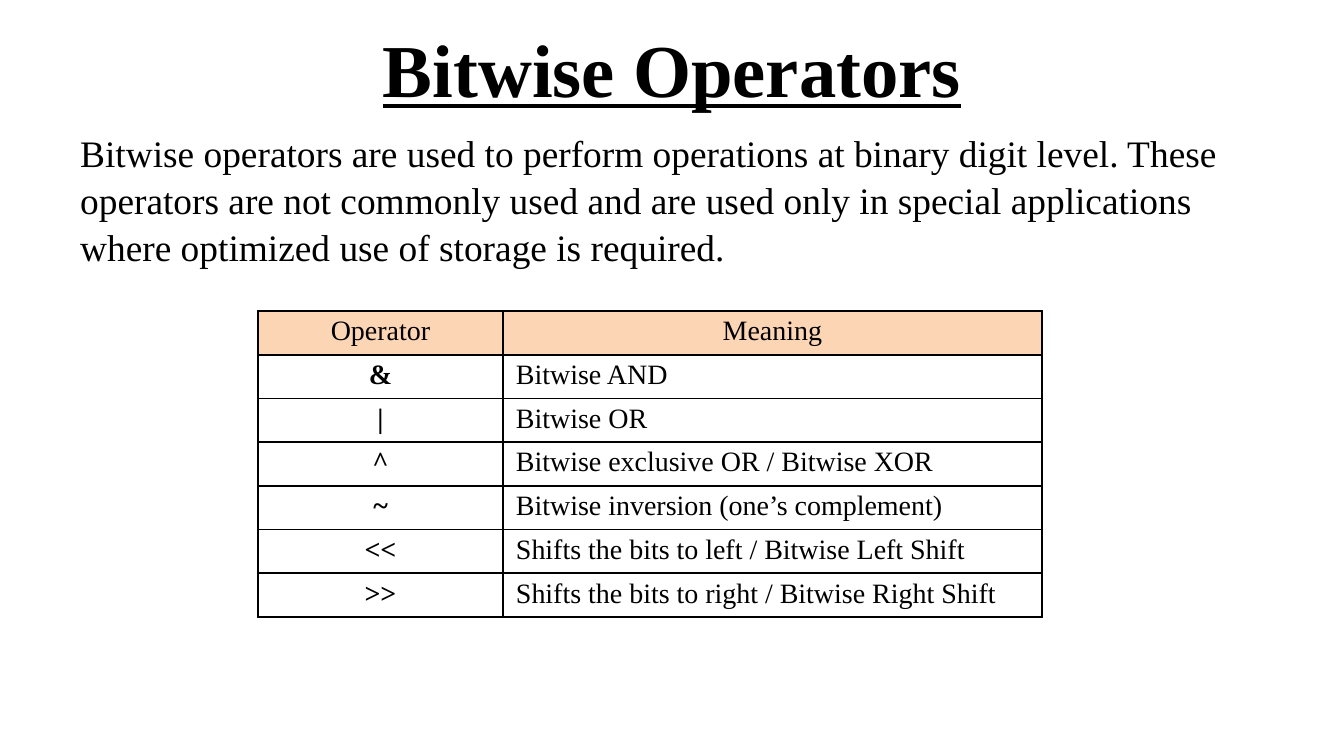
from lxml.etree import SubElement
from pptx import Presentation
from pptx.dml.color import RGBColor as RGB
from pptx.enum.text import MSO_ANCHOR as Anchor, PP_ALIGN as Align
from pptx.oxml.ns import qn
from pptx.util import Pt

PX = 914400 / 134.4
COLORS = {"ink": "000000", "header": "FCD5B5"}
FONT = "Times New Roman"


def px(*lengths):
    return [round(length * PX) for length in lengths]


def style(paragraph, size, align, bold=False):
    paragraph.alignment = align
    paragraph.font.name = FONT
    paragraph.font.size = Pt(size)
    paragraph.font.bold = bold
    paragraph.font.color.rgb = RGB.from_string(COLORS["ink"])


prs = Presentation()
prs.slide_width, prs.slide_height = px(1344, 756)
slide = prs.slides.add_slide(prs.slide_layouts[6])

title = slide.shapes.add_textbox(*px(67, 5, 1210, 126)).text_frame
title.word_wrap = True
title.vertical_anchor = Anchor.MIDDLE
title.text = "Bitwise Operators"
style(title.paragraphs[0], 40, Align.CENTER, bold=True)
title.paragraphs[0].font.underline = True

intro = slide.shapes.add_textbox(*px(67, 121, 1210, 168)).text_frame
intro.word_wrap = True
intro.text = (
    "Bitwise operators are used to perform operations at binary digit level. "
    "These operators are not commonly used and are used only in special "
    "applications where optimized use of storage is required."
)
style(intro.paragraphs[0], 20, Align.LEFT)
intro.paragraphs[0].line_spacing = 1.05

operators = [
    ("Operator", "Meaning"),
    ("&", "Bitwise AND"),
    ("|", "Bitwise OR"),
    ("^", "Bitwise exclusive OR / Bitwise XOR"),
    ("~", "Bitwise inversion (one’s complement)"),
    ("<<", "Shifts the bits to left / Bitwise Left Shift"),
    (">>", "Shifts the bits to right / Bitwise Right Shift"),
]
operator_table = slide.shapes.add_table(
    len(operators), 2, *px(258, 311, 784, 306)
).table
operator_table.columns[0].width, operator_table.columns[1].width = px(245, 539)

for r, row in enumerate(operators):
    for c, text in enumerate(row):
        cell = operator_table.cell(r, c)
        cell.text = text
        cell.margin_left, cell.margin_right = px(13, 13)
        cell.margin_top, cell.margin_bottom = px(5, 5)
        is_header = r == 0
        is_symbol = c == 0
        style(
            cell.text_frame.paragraphs[0],
            15,
            Align.CENTER if is_header or is_symbol else Align.LEFT,
            bold=is_symbol and not is_header,
        )
        properties = cell._tc.get_or_add_tcPr()
        for side in ("lnL", "lnR", "lnT", "lnB"):
            border = SubElement(properties, qn(f"a:{side}"), w=str(Pt(1)))
            border_fill = SubElement(border, qn("a:solidFill"))
            SubElement(border_fill, qn("a:srgbClr"), val=COLORS["ink"])
        if is_header:
            cell.fill.solid()
            cell.fill.fore_color.rgb = RGB.from_string(COLORS["header"])
        else:
            cell.fill.background()

prs.save("out.pptx")
